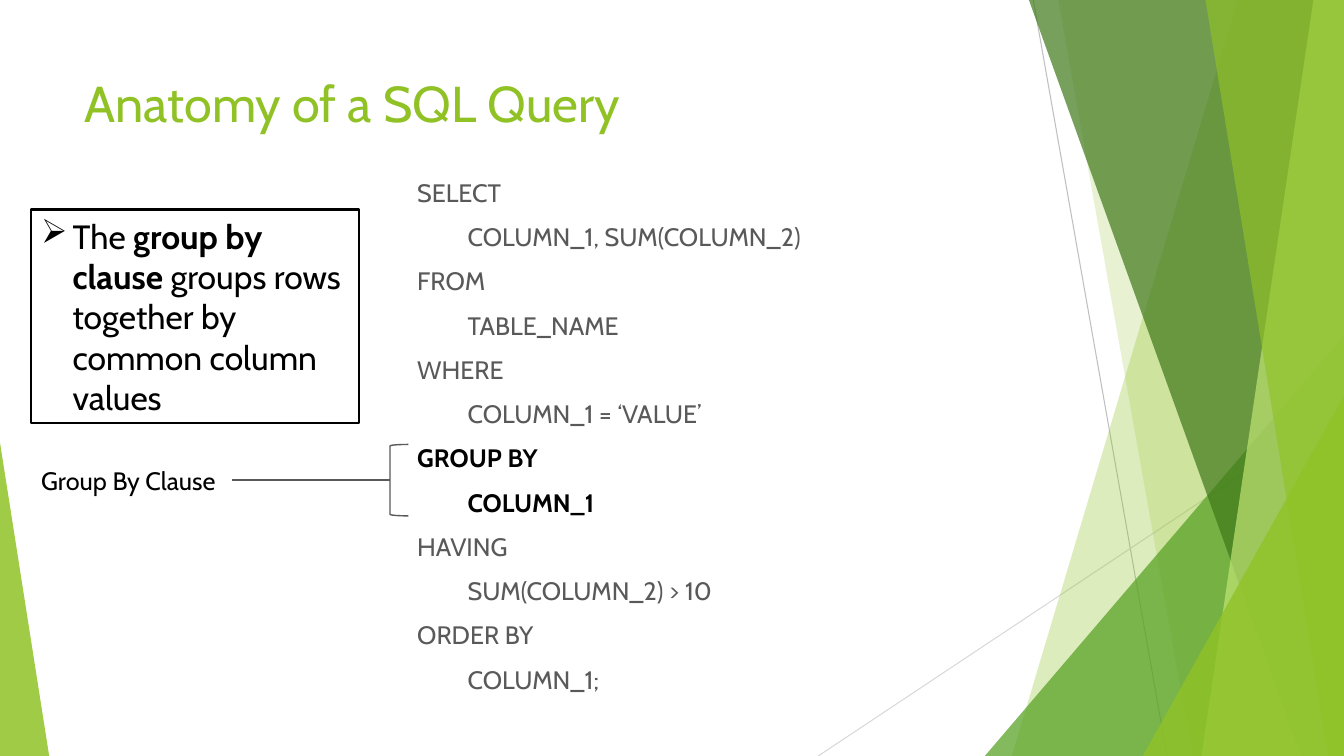
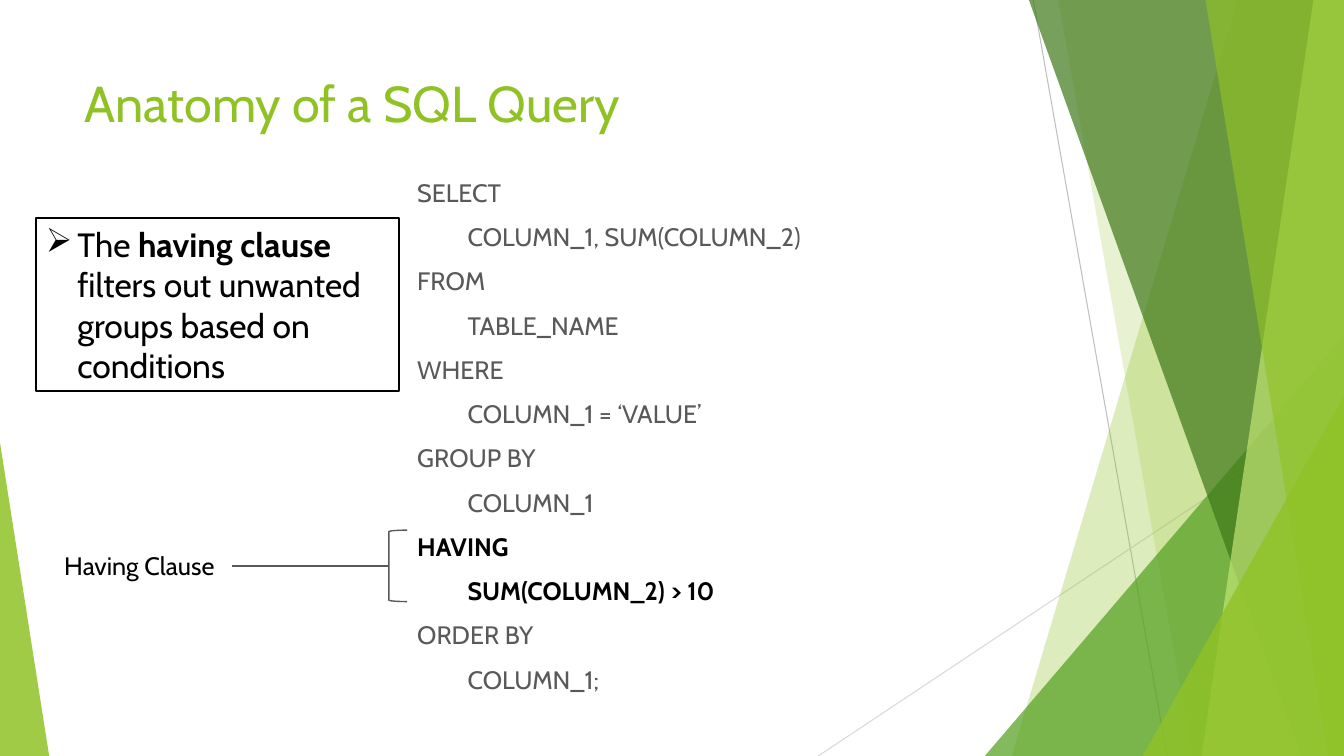
from dataclasses import dataclass

from lxml import etree
from pptx import Presentation
from pptx.dml.color import RGBColor
from pptx.enum.shapes import MSO_CONNECTOR, MSO_SHAPE
from pptx.enum.text import MSO_ANCHOR, MSO_AUTO_SIZE, PP_ALIGN
from pptx.oxml.ns import qn
from pptx.util import Cm, Pt

STRAIGHT = MSO_CONNECTOR.STRAIGHT
TRIANGLE = MSO_SHAPE.ISOSCELES_TRIANGLE
BRACKET = MSO_SHAPE.LEFT_BRACKET
RECTANGLE = MSO_SHAPE.RECTANGLE
TOP, MIDDLE = MSO_ANCHOR.TOP, MSO_ANCHOR.MIDDLE
LEFT = PP_ALIGN.LEFT
NO_AUTOFIT = MSO_AUTO_SIZE.NONE

FONT = "Cabin"
GREEN, MID_GREEN, DARK_GREEN, PALE_GREEN = "90C226", "54A021", "3F7819", "C0E474"
BLACK, GREY, WHITE = "000000", "595959", "FFFFFF"


@dataclass
class Box:
    left: float
    top: float
    width: float
    height: float

    @property
    def right(self):
        return self.left + self.width

    @property
    def bottom(self):
        return self.top + self.height

    @property
    def middle(self):
        return self.top + self.height / 2

    def lengths(self):
        return [Cm(n) for n in (self.left, self.top, self.width, self.height)]


PAGE = Box(0, 0, 33.87, 19.05)
TITLE = Box(1.88, 1.7, 23.88, 3.66)
QUERY = Box(10.26, 4.34, 10.49, 11.46)
LABEL_HEIGHT = 1.02
LEADER_START = 5.84

CLAUSES = [
    ("SELECT", "COLUMN_1, SUM(COLUMN_2)"),
    ("FROM", "TABLE_NAME"),
    ("WHERE", "COLUMN_1 = ‘VALUE’"),
    ("GROUP BY", "COLUMN_1"),
    ("HAVING", "SUM(COLUMN_2) > 10"),
    ("ORDER BY", "COLUMN_1;"),
]

ANATOMY = [
    {
        "keyword": "GROUP BY",
        "label": "Group By Clause",
        "label_left": 0.79,
        "label_width": 5.49,
        "bracket": Box(9.83, 11.2, 0.46, 1.8),
        "callout": Box(0.79, 5.28, 8.26, 5.38),
        "explanation": ("The ", "group by clause ",
                        "groups rows together by common column values"),
    },
    {
        "keyword": "HAVING",
        "label": "Having Clause",
        "label_left": 1.37,
        "label_width": 4.57,
        "bracket": Box(9.8, 13.36, 0.46, 1.8),
        "callout": Box(0.91, 5.49, 9.14, 4.37),
        "explanation": ("The ", "having clause ",
                        "filters out unwanted groups based on conditions"),
    },
]


def rgb(color):
    return RGBColor.from_string(color)


def paint(shape, color, opacity=100):
    shape.shadow.inherit = False
    shape.fill.solid()
    shape.fill.fore_color.rgb = rgb(color)
    shape.line.fill.background()
    if opacity < 100:
        tint = shape.element.spPr.find(f"{qn('a:solidFill')}/{qn('a:srgbClr')}")
        etree.SubElement(tint, qn("a:alpha")).set("val", str(opacity * 1000))


def outline(shape, color, width):
    shape.line.color.rgb = rgb(color)
    shape.line.width = Pt(width)


def add_line(slide, start, end, color, width):
    line = slide.shapes.add_connector(STRAIGHT, *(Cm(n) for n in (*start, *end)))
    outline(line, color, width)
    etree.SubElement(line.element.spPr, qn("a:effectLst"))


def add_run(paragraph, text, size, color, bold=False):
    run = paragraph.add_run()
    run.text = text
    run.font.name = FONT
    run.font.size = Pt(size)
    run.font.bold = bold
    run.font.color.rgb = rgb(color)


def set_indent(paragraph, margin, first_line=0, bullet=None):
    properties = paragraph._p.get_or_add_pPr()
    properties.set("marL", str(Cm(margin)))
    properties.set("indent", str(Cm(first_line)))
    if bullet:
        etree.SubElement(properties, qn("a:buChar")).set("char", bullet)
    else:
        etree.SubElement(properties, qn("a:buNone"))


def place(shape, box):
    shape.left, shape.top, shape.width, shape.height = box.lengths()


def set_frame(shape, anchor):
    frame = shape.text_frame
    frame.word_wrap = True
    frame.auto_size = NO_AUTOFIT
    frame.vertical_anchor = anchor
    return frame


def add_facet(slide, page, top_x, bottom_x, color, opacity):
    corners = [(page.right, page.top), (page.right, page.bottom), (bottom_x, page.bottom)]
    builder = slide.shapes.build_freeform(Cm(top_x), Cm(page.top), 1.0)
    builder.add_line_segments([(Cm(x), Cm(y)) for x, y in corners], close=True)
    paint(builder.convert_to_shape(), color, opacity)


def add_corner(slide, box, apex, color, opacity):
    corner = slide.shapes.add_shape(TRIANGLE, *box.lengths())
    corner.adjustments[0] = apex
    paint(corner, color, opacity)


def add_right_corner(slide, page, left, top, color, opacity):
    box = Box(left, top, page.right - left, page.bottom - top)
    add_corner(slide, box, 1, color, opacity)


def draw_backdrop(slide, page):
    add_line(slide, (26.04, page.top), (29.41, page.bottom), "BFBFBF", 0.75)
    add_line(slide, (page.right, 10.24), (20.62, page.bottom), "D9D9D9", 0.75)
    add_facet(slide, page, 31.19, 25.5, GREEN, 30)
    add_facet(slide, page, 26.67, 30.05, GREEN, 20)
    add_right_corner(slide, page, 24.82, 8.46, MID_GREEN, 72)
    add_facet(slide, page, 25.93, 32.79, DARK_GREEN, 70)
    add_facet(slide, page, 33.1, 30.28, PALE_GREEN, 70)
    add_facet(slide, page, 30.38, 33.48, GREEN, 65)
    add_right_corner(slide, page, 28.8, 9.98, GREEN, 80)
    add_corner(slide, Box(page.left, 11.15, 1.24, page.bottom - 11.15), 0, GREEN, 85)


def move_to_layout(slide, layout):
    parts = [shape for shape in slide.shapes if not shape.is_placeholder]
    for index, part in enumerate(parts):
        part.element.xpath(".//p:cNvPr")[0].set("id", str(100 + index))
        layout.shapes.element.insert(2 + index, part.element)


def add_title(slide, box, text):
    title = slide.shapes.title
    place(title, box)
    paragraph = set_frame(title, TOP).paragraphs[0]
    paragraph.alignment = LEFT
    add_run(paragraph, text, 36, GREEN)


def add_query(slide, box, keyword):
    query = slide.placeholders[1]
    place(query, box)
    frame = set_frame(query, TOP)
    paragraph = frame.paragraphs[0]
    for clause in CLAUSES:
        highlighted = clause[0] == keyword
        for text, margin in zip(clause, (0, 1.27)):
            if paragraph is None:
                paragraph = frame.add_paragraph()
            paragraph.space_before = Pt(10)
            set_indent(paragraph, margin)
            add_run(paragraph, text, 18, BLACK if highlighted else GREY, highlighted)
            paragraph = None


def add_clause_marker(slide, box, label, label_left, label_width):
    bracket = slide.shapes.add_shape(BRACKET, *box.lengths())
    bracket.shadow.inherit = False
    bracket.fill.background()
    outline(bracket, GREY, 1)
    add_line(slide, (LEADER_START, box.middle), (box.left, box.middle), GREY, 1)
    label_box = Box(label_left, box.middle - LABEL_HEIGHT / 2, label_width, LABEL_HEIGHT)
    caption = slide.shapes.add_textbox(*label_box.lengths())
    add_run(set_frame(caption, TOP).paragraphs[0], label, 18, BLACK)


def add_callout(slide, box, explanation):
    callout = slide.shapes.add_shape(RECTANGLE, *box.lengths())
    paint(callout, WHITE)
    outline(callout, BLACK, 1.5)
    paragraph = set_frame(callout, MIDDLE).paragraphs[0]
    paragraph.alignment = LEFT
    set_indent(paragraph, 0.79, -0.79, "➢")
    for text, bold in zip(explanation, (False, True, False)):
        add_run(paragraph, text, 24, BLACK, bold)


def build_anatomy_slide(slide, part):
    add_title(slide, TITLE, "Anatomy of a SQL Query")
    add_query(slide, QUERY, part["keyword"])
    add_clause_marker(slide, part["bracket"], part["label"],
                      part["label_left"], part["label_width"])
    add_callout(slide, part["callout"], part["explanation"])


deck = Presentation()
deck.slide_width, deck.slide_height = Cm(PAGE.width), Cm(PAGE.height)
layout = deck.slide_layouts[1]
slides = [deck.slides.add_slide(layout) for _ in ANATOMY]
draw_backdrop(slides[0], PAGE)
move_to_layout(slides[0], layout)
for slide, part in zip(slides, ANATOMY):
    build_anatomy_slide(slide, part)
deck.save("out.pptx")
